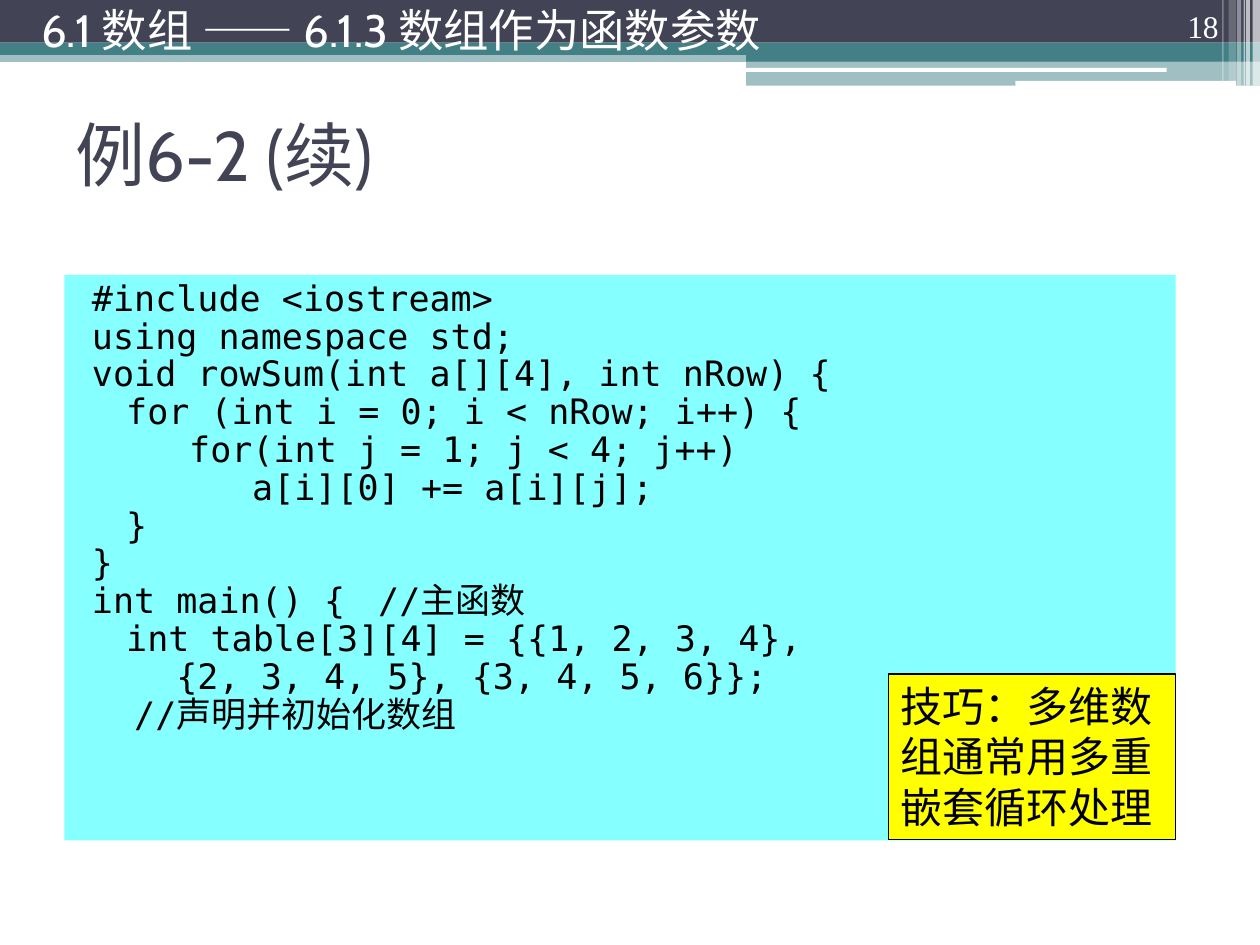
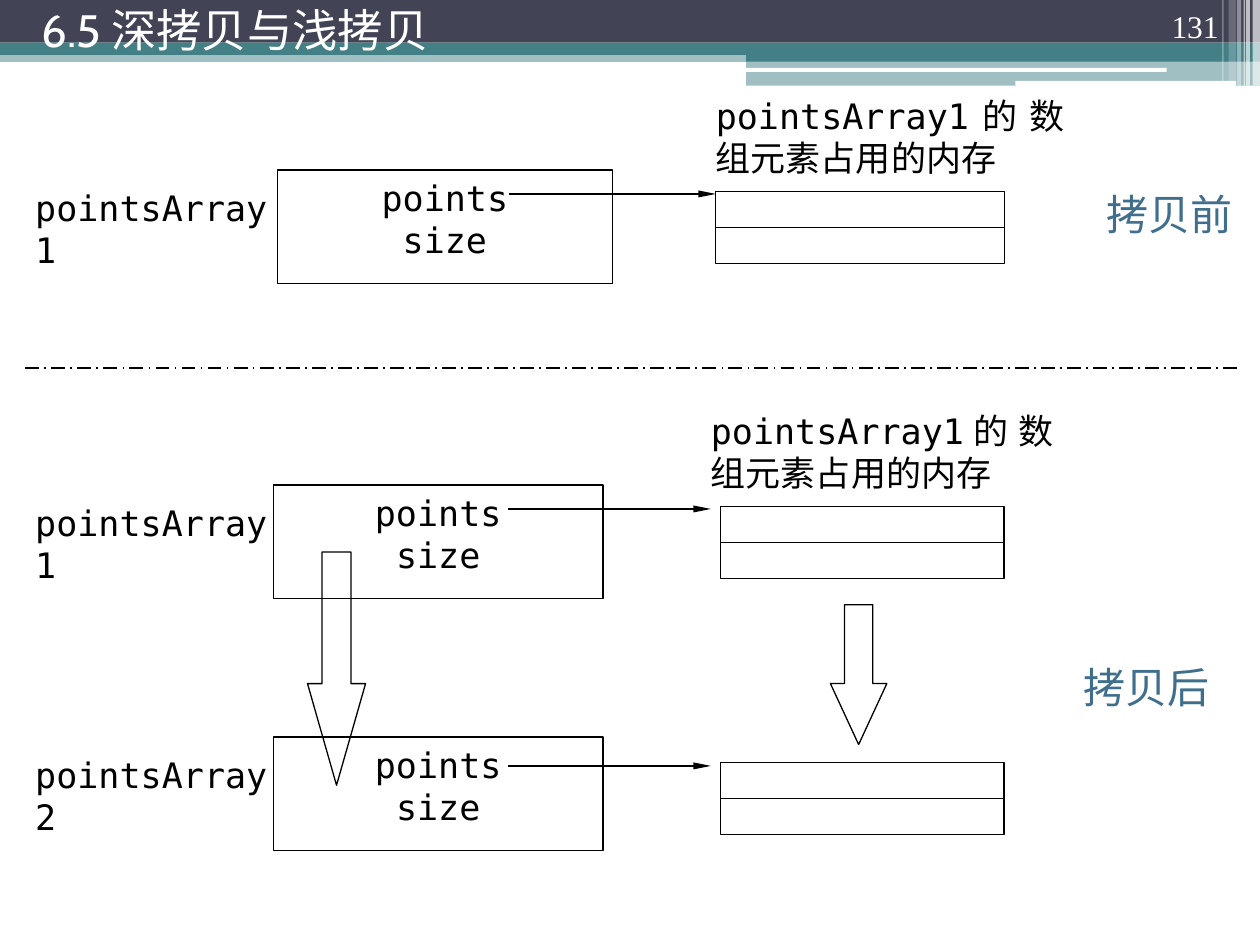
from pptx import Presentation
from pptx.dml.color import RGBColor
from pptx.enum.dml import MSO_LINE
from pptx.enum.shapes import MSO_CONNECTOR, MSO_SHAPE
from pptx.enum.text import MSO_ANCHOR, MSO_AUTO_SIZE, PP_ALIGN
from pptx.oxml.ns import qn
from pptx.oxml.xmlchemy import OxmlElement
from pptx.util import Cm, Pt

COLORS = {
    "navy": "424456", "teal": "438086", "white": "FFFFFF", "black": "000000",
    "code": "85FFFF", "tip": "FFFF00", "stage": "406F8D",
}
FONTS = {
    "header": {"name": "Cabin", "size": Pt(25.9), "color": "white"},
    "title": {"name": "Cabin", "size": Pt(40), "color": "navy"},
    "number": {"name": "Times New Roman", "size": Pt(18), "color": "white"},
    "code": {"name": "DejaVu Sans Mono", "size": Pt(20), "color": "black"},
    "tip": {"name": "Arial", "size": Pt(24), "color": "black"},
    "stage": {"name": "Times New Roman", "size": Pt(24), "color": "stage"},
}
FRAME = {"word_wrap": True, "auto_size": MSO_AUTO_SIZE.NONE, "vertical_anchor": MSO_ANCHOR.TOP}
MIDDLE = {"vertical_anchor": MSO_ANCHOR.MIDDLE}
FLUSH = {"margin_left": 0, "margin_right": 0, "margin_top": 0, "margin_bottom": 0}
SIDELESS = {"margin_left": 0, "margin_right": 0}
TOPLESS = {"margin_top": 0, "margin_bottom": 0}
HEADER_BOX = (0.58, 0, 18.31, 1.19)

BANDS = [
    ((0, 1.02, 25.4, 0.23), "teal", 50),
    ((0, 0, 25.4, 0.86), "navy", 100),
    ((0, 0.86, 25.4, 0.25), "teal", 100),
    ((15.04, 0.99, 10.36, 0.25), "teal", 100),
    ((15.04, 1.22, 10.36, 0.51), "teal", 50),
]
ROUNDED_BANDS = [(15.01, 1.37, 8.51, 0.08), (20.47, 1.63, 4.45, 0.1)]
STRIPES = [
    (25.25, 0.15, 1.73, 65), (25.12, 0.08, 1.73, 65), (25.07, 0.03, 1.73, 60),
    (24.94, 0.08, 1.73, 40), (24.77, 0.15, 1.63, 20), (24.64, 0.03, 1.63, 30),
]

CODE = """#include <iostream>
using namespace std;
void rowSum(int a[][4], int nRow) {
\tfor (int i = 0; i < nRow; i++) {
\t\tfor(int j = 1; j < 4; j++)
\t\t\ta[i][0] += a[i][j];
\t}
}
int main() {\t//主函数
\tint table[3][4] = {{1, 2, 3, 4},
    {2, 3, 4, 5}, {3, 4, 5, 6}};
  //声明并初始化数组"""

BEFORE = {"object_box": (5.59, 6.76), "memory_box": (14.43, 5.82), "pointer": (10.26, 14.43),
          "label_width": 4.78, "caption_width": 7.04}
AFTER = {"object_box": (5.51, 6.65), "memory_box": (14.53, 5.71), "pointer": (10.24, 14.33),
         "label_width": 4.72, "caption_width": 6.91}


def assign(target, values):
    """Set each attribute named in values on target."""
    for attribute, value in values.items():
        setattr(target, attribute, value)


class Deck:
    """Holds the presentation style and the slide being drawn."""

    def __init__(self):
        """Start an empty 4:3 presentation."""
        self.presentation = Presentation()
        assign(self.presentation, {"slide_width": Cm(25.4), "slide_height": Cm(19.05)})
        self.slide = None

    def color(self, key):
        """Return a palette colour."""
        return RGBColor.from_string(COLORS[key])

    def new_slide(self, layout, number):
        """Add a slide with its page number."""
        self.slide = self.presentation.slides.add_slide(self.presentation.slide_layouts[layout])
        self.text((22.71, 0, 2.11, 1.02), str(number), "number", PP_ALIGN.RIGHT,
                  {"vertical_anchor": MSO_ANCHOR.BOTTOM})

    def set_text(self, shape, content, style, align=PP_ALIGN.LEFT, frame=None):
        """Fill a shape with styled paragraphs."""
        text_frame = shape.text_frame
        assign(text_frame, {**FRAME, **(frame or {})})
        look = dict(FONTS[style])
        color = self.color(look.pop("color"))
        for index, line in enumerate(content.split("\n")):
            paragraph = text_frame.add_paragraph() if index else text_frame.paragraphs[0]
            paragraph.alignment = align
            run = paragraph.add_run()
            run.text = line
            assign(run.font, look)
            run.font.color.rgb = color

    def text(self, box, content, style, align=PP_ALIGN.LEFT, frame=None):
        """Add a text box."""
        self.set_text(self.slide.shapes.add_textbox(*map(Cm, box)), content, style, align, frame)

    def placeholder(self, index, box, content, style, frame=None):
        """Move and fill a template placeholder."""
        holder = self.slide.placeholders[index]
        assign(holder, dict(zip(("left", "top", "width", "height"), map(Cm, box))))
        self.set_text(holder, content, style, frame=frame)
        return holder

    def code(self, box, content):
        """Show a listing in the body placeholder."""
        body = self.placeholder(1, box, content, "code")
        body.fill.solid()
        body.fill.fore_color.rgb = self.color("code")
        for paragraph in body.text_frame.paragraphs:
            properties = paragraph._p.get_or_add_pPr()
            properties.set("marL", str(Cm(0.99)))
            properties.set("indent", str(Cm(-0.69)))
            properties.append(OxmlElement("a:buNone"))
            assign(paragraph, {"line_spacing": 0.9, "space_before": Pt(0), "space_after": Pt(0)})

    def shape(self, box, fill=None, line=None, kind=MSO_SHAPE.RECTANGLE, opacity=100):
        """Add a preset shape with optional fill and outline."""
        shape = self.slide.shapes.add_shape(kind, *map(Cm, box))
        shape.shadow.inherit = False
        if fill:
            shape.fill.solid()
            shape.fill.fore_color.rgb = self.color(fill)
        else:
            shape.fill.background()
        if line:
            shape.line.color.rgb = self.color(line)
            shape.line.width = Pt(0.75)
        else:
            shape.line.fill.background()
        if opacity < 100:
            alpha = OxmlElement("a:alpha")
            alpha.set("val", str(opacity * 1000))
            shape.element.spPr.find(".//" + qn("a:srgbClr")).append(alpha)
        return shape

    def line(self, start, end, width=0.75, dash=None, arrow=False):
        """Add a straight connector."""
        connector = self.slide.shapes.add_connector(MSO_CONNECTOR.STRAIGHT, *map(Cm, start + end))
        connector.line.color.rgb = self.color("black")
        connector.line.width = Pt(width)
        if dash:
            connector.line.dash_style = dash
        if arrow:
            tail = OxmlElement("a:tailEnd")
            for key, value in {"type": "triangle", "w": "sm", "len": "lg"}.items():
                tail.set(key, value)
            connector.element.spPr.find(qn("a:ln")).append(tail)
        connector.element.spPr.append(OxmlElement("a:effectLst"))
        return connector

    def master_bands(self):
        """Draw the top bands once and hand them to the slide master."""
        bands = [self.shape(box, fill, opacity=opacity) for box, fill, opacity in BANDS]
        bands += [self.shape(box, "white", kind=MSO_SHAPE.ROUNDED_RECTANGLE)
                  for box in ROUNDED_BANDS]
        bands += [self.shape((left, 0, width, height), "white", opacity=opacity)
                  for left, width, height, opacity in STRIPES]
        tree = self.presentation.slide_master.shapes.element
        for shape_id, band in enumerate(bands, 100):
            band.element.nvSpPr.cNvPr.set("id", str(shape_id))
            tree.append(band.element)

    def memory(self, left, top, width):
        """Draw a two-cell memory block."""
        block = self.shape((left, top, width, 1.45), line="black")
        middle = top + 0.72
        divider = self.line((left, middle), (left + width, middle))
        divider.begin_connect(block, 1)
        divider.end_connect(block, 3)

    def object_row(self, name, top, stage, memory_drop=0.43, pointer_drop=0.48):
        """Draw an object, its pointer and the memory it owns."""
        left, width = stage["object_box"]
        members = self.shape((left, top, width, 2.29), line="black")
        self.set_text(members, "points\nsize", "code", PP_ALIGN.CENTER, SIDELESS)
        self.text((0.71, top + 0.33, stage["label_width"], 0.89), name, "code",
                  PP_ALIGN.JUSTIFY, FLUSH)
        memory_left, memory_width = stage["memory_box"]
        self.memory(memory_left, top + memory_drop, memory_width)
        start, end = stage["pointer"]
        self.line((start, top + pointer_drop), (end, top + pointer_drop), arrow=True)

    def caption(self, top, stage):
        """Name the memory of the first array above its block."""
        self.text((stage["pointer"][1], top - 1.52, stage["caption_width"], 1.85),
                  "pointsArray1的数组元素占用的内存", "code", PP_ALIGN.JUSTIFY, FLUSH)

    def copy_arrow(self, box, head):
        """Draw a hollow arrow pointing down."""
        arrow = self.shape(box, line="black", kind=MSO_SHAPE.DOWN_ARROW)
        arrow.adjustments[0] = 0.5
        arrow.adjustments[1] = head


def example_slide(deck):
    """Build the array parameter example."""
    deck.new_slide(1, 18)
    deck.master_bands()
    deck.text(HEADER_BOX, "6.1 数组 —— 6.1.3 数组作为函数参数", "header", frame=MIDDLE)
    deck.placeholder(0, (1.27, 1.6, 22.86, 2.97), "例6-2 (续)", "title", MIDDLE)
    deck.code((1.3, 5.54, 22.4, 11.4), CODE)
    tip = deck.shape((17.91, 13.59, 5.79, 3.33), "tip", "black")
    deck.set_text(tip, "技巧：多维数组通常用多重嵌套循环处理", "tip")


def copy_slide(deck):
    """Build the deep copy diagram."""
    deck.new_slide(5, 131)
    deck.placeholder(0, HEADER_BOX, "6.5 深拷贝与浅拷贝", "header", MIDDLE)
    for box, stage_name in (((21.67, 3.81, 3.81, 1.02), "拷贝前"),
                            ((21.23, 13.34, 3.76, 1.02), "拷贝后")):
        deck.text(box, stage_name, "stage", PP_ALIGN.CENTER, TOPLESS)
    for top, stage in ((3.43, BEFORE), (9.78, AFTER)):
        deck.object_row("pointsArray1", top, stage)
        deck.caption(top, stage)
    deck.object_row("pointsArray2", 14.86, AFTER, memory_drop=0.51, pointer_drop=0.58)
    deck.copy_arrow((16.74, 12.19, 1.14, 2.82), 1.08)
    deck.copy_arrow((6.2, 11.13, 1.17, 4.7), 1.75)
    deck.line((0.51, 7.42), (25.04, 7.42), 1, MSO_LINE.LONG_DASH_DOT)


def main():
    """Build and save the slides."""
    deck = Deck()
    example_slide(deck)
    copy_slide(deck)
    deck.presentation.save("out.pptx")


if __name__ == "__main__":
    main()
